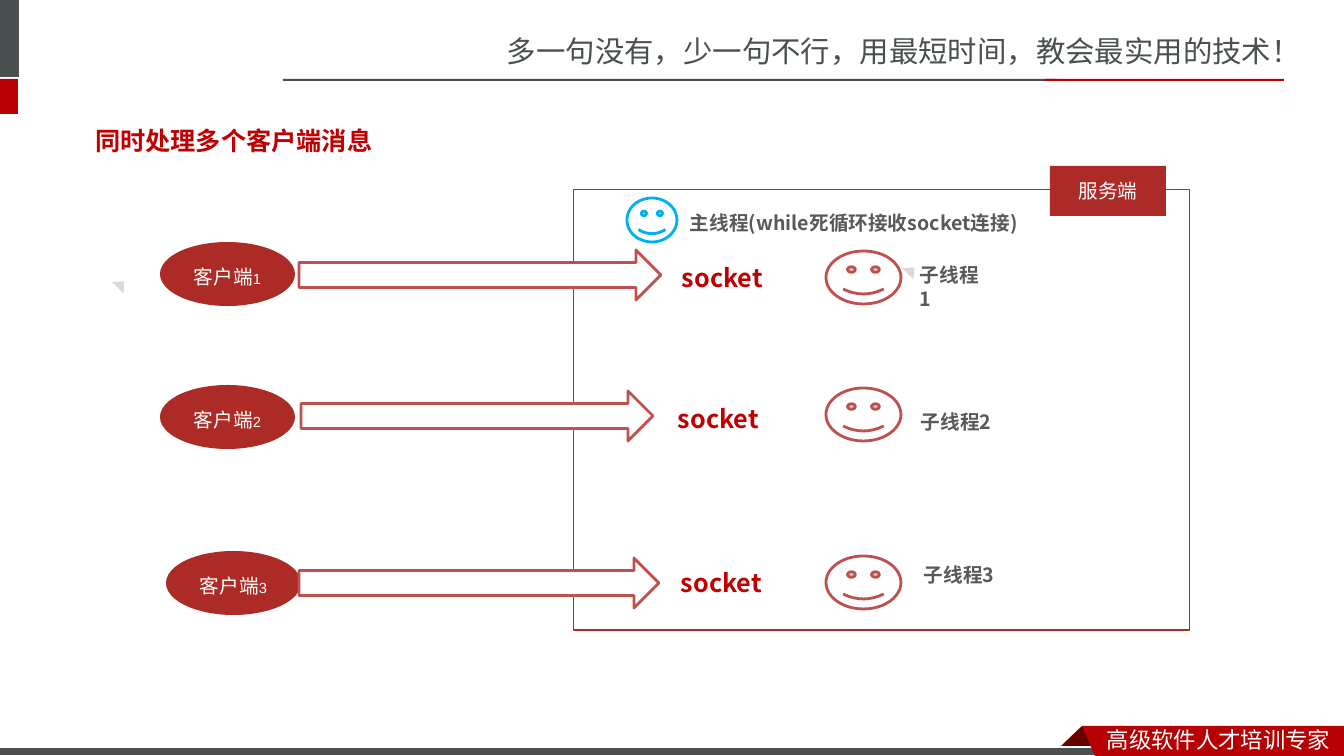
from dataclasses import dataclass

from pptx import Presentation
from pptx.dml.color import RGBColor
from pptx.enum.shapes import MSO_SHAPE
from pptx.enum.text import MSO_ANCHOR, MSO_AUTO_SIZE, PP_ALIGN
from pptx.oxml import parse_xml
from pptx.oxml.ns import nsdecls
from pptx.util import Emu, Pt

EMU_PER_PX = 914400 / 100.8
SANS_SC, SANS_JP, ARIAL = "Noto Sans CJK SC", "Noto Sans CJK JP", "Arial"
WHITE, SLATE, RED, DARK_RED = "FFFFFF", "49504F", "B60004", "680000"
BRICK, OUTLINE, BLUE, CRIMSON = "AD2B26", "C0504D", "00B0F0", "C00000"
GREY, LIGHT_GREY = "595959", "D9D9D9"


@dataclass
class Box:
    left: int
    top: int
    width: int
    height: int


@dataclass
class ClientRow:
    number: int
    client: Box
    arrow: Box
    socket: Box
    face: Box
    thread: Box
    thread_indent: int = 0


def px(length: int) -> Emu:
    return Emu(round(length * EMU_PER_PX))


def color(value: str) -> RGBColor:
    return RGBColor.from_string(value)


def place(box: Box) -> tuple:
    return px(box.left), px(box.top), px(box.width), px(box.height)


def paint(shape, fill: str = "", line: str = "", line_width: float = 2) -> None:
    shape.shadow.inherit = False
    if fill:
        shape.fill.solid()
        shape.fill.fore_color.rgb = color(fill)
    else:
        shape.fill.background()
    if line:
        shape.line.color.rgb = color(line)
        shape.line.width = Pt(line_width)
    else:
        shape.line.fill.background()


def add_shape(slide, kind, box: Box, rotation: float = 0, **style):
    shape = slide.shapes.add_shape(kind, *place(box))
    shape.rotation = rotation
    paint(shape, **style)
    return shape


def add_outline(slide, points: list, fill: str) -> None:
    builder = slide.shapes.build_freeform(*points[0], scale=EMU_PER_PX)
    builder.add_line_segments(points[1:], close=True)
    paint(builder.convert_to_shape(), fill)


def add_run(paragraph, text: str, size: float, font: str, fill: str,
            bold: bool = False, asian_font: str = "") -> None:
    run = paragraph.add_run()
    run.text = text
    run.font.size, run.font.bold, run.font.name = Pt(size), bold, font
    run.font.color.rgb = color(fill)
    run.font._element.append(parse_xml(
        f'<a:ea {nsdecls("a")} typeface="{asian_font or font}"/>'))


def write(shape, text: str, align=PP_ALIGN.LEFT, anchor=MSO_ANCHOR.TOP,
          indent: int = 0, **style):
    frame = shape.text_frame
    frame.word_wrap = True
    frame.auto_size = MSO_AUTO_SIZE.NONE
    frame.vertical_anchor = anchor
    paragraph = frame.paragraphs[0]
    paragraph.alignment = align
    if indent:
        properties = paragraph._p.get_or_add_pPr()
        properties.set("marL", "0")
        properties.set("indent", str(px(indent)))
    add_run(paragraph, text, **style)
    return paragraph


def add_text(slide, box: Box, text: str, **style) -> None:
    write(slide.shapes.add_textbox(*place(box)), text, **style)


def draw_frame(slide) -> None:
    # Header bars and rules
    for box, fill in [(Box(0, 0, 19, 77), SLATE), (Box(0, 79, 18, 35), RED),
                      (Box(283, 79, 774, 2), SLATE), (Box(1045, 79, 239, 2), RED)]:
        add_shape(slide, MSO_SHAPE.RECTANGLE, box, fill=fill)
    add_text(slide, Box(497, 28, 847, 47), "多一句没有，少一句不行，用最短时间，教会最实用的技术！",
             size=21, font=SANS_SC, fill=SLATE)
    # Footer ribbon
    add_outline(slide, [(1082, 726), (1104, 748), (1103, 749), (1060, 749), (1059, 748)],
                DARK_RED)
    add_shape(slide, MSO_SHAPE.RECTANGLE, Box(0, 747, 1108, 9),
              fill=SLATE, line=WHITE, line_width=0.75)
    add_outline(slide, [(1082, 726), (1344, 726), (1344, 756), (1095, 756)], RED)
    add_text(slide, Box(1097, 721, 247, 35), "高级软件人才培训专家",
             size=16, font=SANS_SC, fill=WHITE)


def draw_server(slide) -> None:
    for left, top in [(113, 280), (903, 266)]:
        add_shape(slide, MSO_SHAPE.ISOSCELES_TRIANGLE, Box(left, top, 16, 9),
                  rotation=44.2, fill=LIGHT_GREY)
    add_shape(slide, MSO_SHAPE.RECTANGLE, Box(574, 189, 616, 441),
              line=BRICK, line_width=0.75)
    label = add_shape(slide, MSO_SHAPE.RECTANGLE, Box(1050, 166, 116, 50), fill=BRICK)
    write(label, "服务端", align=PP_ALIGN.CENTER, anchor=MSO_ANCHOR.MIDDLE,
          size=14, font=ARIAL, fill=WHITE, asian_font=SANS_SC)
    # Main thread
    add_shape(slide, MSO_SHAPE.SMILEY_FACE, Box(627, 198, 50, 44), fill=WHITE, line=BLUE)
    add_text(slide, Box(680, 206, 351, 34), "主线程(while死循环接收socket连接)",
             size=14, font=SANS_JP, fill=GREY, bold=True)


def draw_row(slide, row: ClientRow) -> None:
    client = add_shape(slide, MSO_SHAPE.OVAL, row.client, fill=BRICK)
    frame = client.text_frame
    frame.margin_left = frame.margin_right = frame.margin_bottom = 0
    frame.margin_top = px(6)
    paragraph = write(client, "客户端", align=PP_ALIGN.CENTER, anchor=MSO_ANCHOR.MIDDLE,
                      size=14, font=ARIAL, fill=WHITE, asian_font=SANS_SC)
    add_run(paragraph, str(row.number), size=10.5, font=ARIAL, fill=WHITE,
            asian_font=SANS_SC)
    add_shape(slide, MSO_SHAPE.RIGHT_ARROW, row.arrow, fill=WHITE, line=OUTLINE)
    add_text(slide, row.socket, "socket", size=18, font=SANS_JP, fill=CRIMSON, bold=True)
    add_shape(slide, MSO_SHAPE.SMILEY_FACE, row.face, fill=WHITE, line=OUTLINE)
    add_text(slide, row.thread, f"子线程{row.number}", indent=row.thread_indent,
             size=14, font=SANS_JP, fill=GREY, bold=True)


ROWS = [
    ClientRow(1, Box(160, 242, 135, 64), Box(299, 250, 362, 50),
              Box(672, 257, 113, 40), Box(826, 251, 75, 53), Box(910, 258, 90, 34)),
    ClientRow(2, Box(160, 385, 135, 64), Box(301, 391, 352, 50),
              Box(668, 398, 108, 40), Box(826, 388, 75, 53), Box(911, 405, 116, 34)),
    ClientRow(3, Box(166, 551, 135, 64), Box(299, 558, 360, 50),
              Box(671, 562, 108, 40), Box(826, 556, 75, 53), Box(910, 558, 96, 34),
              thread_indent=4),
]


def main() -> None:
    presentation = Presentation()
    presentation.slide_width, presentation.slide_height = px(1344), px(756)
    slide = presentation.slides.add_slide(presentation.slide_layouts[5])

    # Title
    title = slide.shapes.title
    title.left, title.top, title.width, title.height = place(Box(85, 120, 671, 40))
    write(title, "同时处理多个客户端消息", size=18, font=SANS_JP, fill=CRIMSON, bold=True)

    draw_frame(slide)
    draw_server(slide)
    for row in ROWS:
        draw_row(slide, row)
    presentation.save("out.pptx")


if __name__ == "__main__":
    main()
